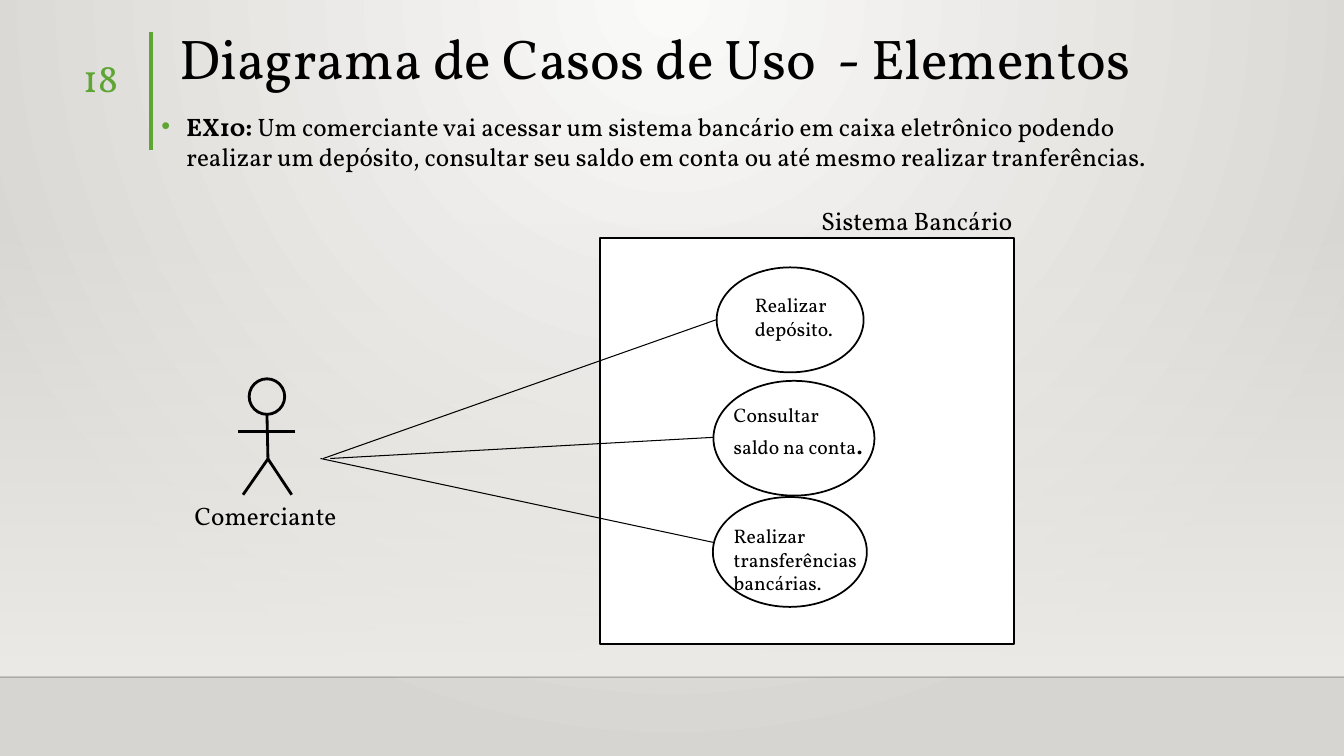
from pptx import Presentation
from pptx.dml.color import RGBColor
from pptx.enum.shapes import MSO_CONNECTOR, MSO_SHAPE
from pptx.enum.text import MSO_ANCHOR, PP_ALIGN
from pptx.oxml import parse_xml
from pptx.oxml.ns import nsdecls, qn
from pptx.util import Pt
from lxml.etree import SubElement

BLACK = RGBColor(0x00, 0x00, 0x00)
WHITE = RGBColor(0xFF, 0xFF, 0xFF)
GREEN = RGBColor(0x5F, 0xA5, 0x34)
MIST = RGBColor(0xED, 0xEB, 0xE7)
PALE = RGBColor(0xFA, 0xFA, 0xF9)
STONE = RGBColor(0xD7, 0xD5, 0xD2)
FONT = "Vollkorn"
SLIDE_WIDTH, SLIDE_HEIGHT = 960, 540


def set_gradient(parent, stops, direction):
    """Replace the gradient in parent; stops are (position, colour, alpha) in percent."""
    gradient = parent.find(".//" + qn("a:gradFill"))
    stop_xml = "".join(
        f'<a:gs pos="{pos * 1000}"><a:srgbClr val="{color}">'
        f'<a:alpha val="{alpha * 1000}"/></a:srgbClr></a:gs>'
        for pos, color, alpha in stops)
    gradient.getparent().replace(gradient, parse_xml(
        f'<a:gradFill {nsdecls("a")} rotWithShape="1">'
        f'<a:gsLst>{stop_xml}</a:gsLst>{direction}</a:gradFill>'))


def add_line(shapes, start, end, width, color=BLACK):
    line = shapes.add_connector(MSO_CONNECTOR.STRAIGHT, *map(Pt, (*start, *end)))
    line.line.width = Pt(width)
    line.line.color.rgb = color
    SubElement(line.element.spPr, qn("a:effectLst"))
    return line


def add_outline(shapes, kind, box, width, fill=WHITE):
    shape = shapes.add_shape(kind, *map(Pt, box))
    shape.shadow.inherit = False
    shape.line.color.rgb = BLACK
    shape.line.width = Pt(width)
    if fill is None:
        shape.fill.background()
    else:
        shape.fill.solid()
        shape.fill.fore_color.rgb = fill
    return shape


def add_run(paragraph, text, size, color=BLACK, bold=False):
    run = paragraph.add_run()
    run.text = text
    run.font.name = FONT
    run.font.size = Pt(size)
    run.font.bold = bold
    run.font.color.rgb = color


def add_label(shapes, box, size, text, color=BLACK, align=PP_ALIGN.LEFT):
    frame = shapes.add_textbox(*map(Pt, box)).text_frame
    frame.word_wrap = True
    paragraph = frame.paragraphs[0]
    paragraph.alignment = align
    add_run(paragraph, text, size, color)
    return paragraph


def place(placeholder, box):
    placeholder.left, placeholder.top, placeholder.width, placeholder.height = map(Pt, box)
    return placeholder.text_frame


def build_backdrop(slide, floor):
    """Background glow, the haze above the floor and the floor line."""
    slide.background.fill.gradient()
    set_gradient(slide.element, [(0, PALE, 100), (100, STONE, 100)],
                 '<a:path path="circle"><a:fillToRect l="43000" r="43000" b="100000"/></a:path>')
    haze = slide.shapes.add_shape(MSO_SHAPE.RECTANGLE, 0, Pt(158.4), Pt(SLIDE_WIDTH), Pt(floor - 159.8))
    haze.shadow.inherit = False
    haze.line.fill.background()
    haze.fill.gradient()
    set_gradient(haze.element, [(0, MIST, 0), (100, MIST, 100)], '<a:lin ang="5400000" scaled="0"/>')
    floor_line = add_line(slide.shapes, (0, floor), (SLIDE_WIDTH, floor), 1)
    color = floor_line.element.find(".//" + qn("a:srgbClr"))
    SubElement(color, qn("a:alpha"), val="20000")


def build_heading(slide, left, top):
    """Slide number, green rule, title and exercise text."""
    add_line(slide.shapes, (left, top), (left, top + 84.2), 3, GREEN)
    add_label(slide.shapes, (left - 80.6, top + 11.5, 64, 39.6), 28, "18", GREEN, PP_ALIGN.RIGHT)

    title = place(slide.shapes.title, (left + 13, top - 15, 749.5, 61))
    title.vertical_anchor = MSO_ANCHOR.BOTTOM
    heading = title.paragraphs[0]
    heading.alignment = PP_ALIGN.LEFT
    heading.line_spacing = 0.9
    add_run(heading, "Diagrama de Casos de Uso  - Elementos", 40)

    body = place(slide.placeholders[1], (left, top + 52.6, 740, 127.4))
    exercise = body.paragraphs[0]
    exercise.space_before = Pt(10)
    add_run(exercise, "EX10: ", 18, bold=True)
    add_run(exercise, "Um comerciante vai acessar um sistema bancário em caixa eletrônico podendo "
            "realizar um depósito, consultar seu saldo em conta ou até mesmo realizar tranferências.", 18)
    props = exercise._p.get_or_add_pPr()
    props.set("marL", str(Pt(18)))
    props.set("indent", str(-Pt(18)))
    SubElement(SubElement(props, qn("a:buClr")), qn("a:srgbClr"), val=str(GREEN))
    SubElement(props, qn("a:buFont"), typeface="Arial")
    SubElement(props, qn("a:buChar"), char="•")


def build_system(slide, left, top, width, height, links_y):
    """System boundary with its use cases and the links that reach them."""
    shapes = slide.shapes
    add_outline(shapes, MSO_SHAPE.RECTANGLE, (left, top, width, height), 1.25)
    add_label(shapes, (left + 151, top - 26.6, 160, 29), 18, "Sistema Bancário")

    link_ends = [(83.5, 58.3), (88.5, 142), (81.5, 217.5)]
    for x, y in link_ends:
        add_line(shapes, (left + x - 281, links_y), (left + x, top + y), 0.75)

    # Ellipse box, label box, lines of the label
    use_cases = [
        ((83.5, 21, 105, 75), (103.7, 36, 102, 41), "Realizar depósito."),
        ((81.2, 102, 115, 82), (88.6, 114.5, 110, 48), "Consultar"),
        ((80.8, 185, 110, 78.5), (88.6, 201, 137.5, 58), "Realizar transferências bancárias."),
    ]
    for (x, y, w, h), _, _ in use_cases:
        add_outline(shapes, MSO_SHAPE.OVAL, (left + x, top + y, w, h), 1.25)
    for _, (x, y, w, h), text in use_cases:
        label = add_label(shapes, (left + x, top + y, w, h), 14, text)
        if text == "Consultar":
            label.add_line_break()
            add_run(label, "saldo na conta", 14)
            add_run(label, ".", 20)


def build_actor(slide, left, top):
    """Stick figure with its name below."""
    add_label(slide.shapes, (left - 38, top + 83, 119.5, 29), 18, "Comerciante")
    figure = slide.shapes.add_group_shape().shapes
    add_outline(figure, MSO_SHAPE.OVAL, (left + 8, top, 25.4, 25.4), 2, None)
    neck, hip = (20.7, 25.4), (21.4, 57.2)
    limbs = [(neck, hip), ((41, 37.8), (0, 37.8)), (hip, (3.6, 82.8)), (hip, (38.4, 82.8))]
    for (x1, y1), (x2, y2) in limbs:
        add_line(figure, (left + x1, top + y1), (left + x2, top + y2), 2)


def main():
    deck = Presentation()
    deck.slide_width, deck.slide_height = Pt(SLIDE_WIDTH), Pt(SLIDE_HEIGHT)
    slide = deck.slides.add_slide(deck.slide_layouts[1])
    build_backdrop(slide, floor=483.8)
    build_heading(slide, left=108, top=23)
    build_system(slide, 428.4, 170, 296, 290, links_y=327.5)
    build_actor(slide, left=170, top=270.6)
    deck.save("out.pptx")


if __name__ == "__main__":
    main()
